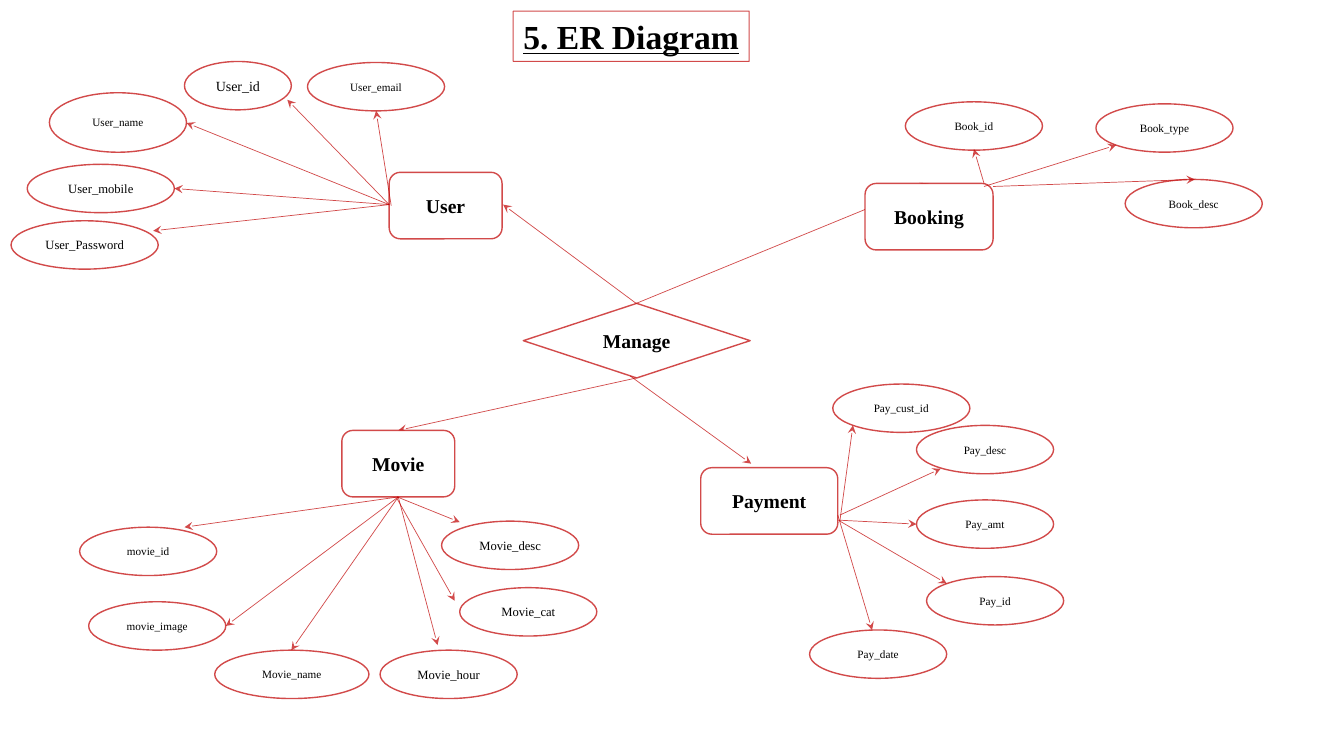
from dataclasses import dataclass
from pptx import Presentation
from pptx.dml.color import RGBColor
from pptx.enum.shapes import MSO_CONNECTOR, MSO_SHAPE
from pptx.enum.text import MSO_ANCHOR, MSO_AUTO_SIZE, PP_ALIGN
from pptx.oxml.ns import qn
from pptx.oxml.xmlchemy import OxmlElement
from pptx.util import Inches, Pt


@dataclass(frozen=True)
class Theme:
    red: RGBColor = RGBColor(0xC0, 0, 0)
    ink: RGBColor = RGBColor(0, 0, 0)
    paper: RGBColor = RGBColor(255, 255, 255)
    alpha: int = 71000
    face: str = "Times New Roman"
    title: int = 24
    head: int = 14
    large: int = 10
    mid: int = 9
    small: int = 8
    rim: float = 1
    frame: float = 0.75
    thin: float = 0.5


THEME = Theme()
WIDE, TALL = 1.36, 0.48

USER = [
    ("User_id", (-2.03, -1.1, 1.06, TALL), THEME.large, (0, 0.32), (-1.01, -0.72)),
    ("User_name", (-3.37, -0.79, WIDE, 0.59), THEME.small, (0, 0.32), (-2.01, -0.49)),
    ("User_mobile", (-3.59, -0.08, 1.46, TALL), THEME.mid, (0, 0.32), (-2.13, 0.16)),
    ("User_email", (-0.81, -1.09, WIDE, TALL), THEME.small, (0.02, 0.33), (-0.13, -0.61)),
    ("User_Password", (-3.75, 0.48, 1.46, TALL), THEME.mid, (0, 0.32), (-2.34, 0.58)),
]
MOVIE = [
    ("movie_id", (-2.6, 0.96, WIDE, TALL), THEME.small, (0.56, 0.66), (-1.56, 0.96)),
    ("movie_image", (-2.51, 1.7, WIDE, TALL), THEME.small, (0.56, 0.66), (-1.15, 1.94)),
    ("Movie_name", (-1.26, 2.18, 1.53, TALL), THEME.small, (0.56, 0.66), (-0.5, 2.18)),
    ("Movie_hour", (0.38, 2.18, WIDE, TALL), THEME.mid, (0.56, 0.66), (0.95, 2.13)),
    ("Movie_cat", (1.17, 1.56, WIDE, TALL), THEME.mid, (0.55, 0.68), (1.12, 1.69)),
    ("Movie_desc", (0.99, 0.9, WIDE, TALL), THEME.mid, (0.55, 0.66), (1.17, 0.91)),
]
BOOKING = [
    ("Book_id", (0.4, -0.81, WIDE, TALL), THEME.small, (1.18, 0), (1.08, -0.34)),
    ("Book_type", (2.29, -0.79, WIDE, TALL), THEME.small, (1.18, 0.03), (2.49, -0.38)),
    ("Book_desc", (2.58, -0.04, WIDE, TALL), THEME.small, (1.27, 0.03), (3.27, -0.04)),
]
PAYMENT = [
    ("Pay_cust_id", (1.31, -0.83, WIDE, TALL), THEME.small, (1.38, 0.53), (1.51, -0.42)),
    ("Pay_desc", (2.14, -0.42, WIDE, TALL), THEME.small, (1.38, 0.47), (2.38, 0.01)),
    ("Pay_amt", (2.14, 0.32, WIDE, TALL), THEME.small, (1.36, 0.52), (2.14, 0.56)),
    ("Pay_id", (2.24, 1.08, WIDE, TALL), THEME.small, (1.38, 0.53), (2.44, 1.15)),
    ("Pay_date", (1.08, 1.61, WIDE, TALL), THEME.small, (1.36, 0.47), (1.7, 1.61)),
]
ENTITIES = [
    ("User", (3.86, 1.71, 1.12, 0.66), USER),
    ("Movie", (3.39, 4.27, 1.12, 0.66), MOVIE),
    ("Booking", (8.58, 1.82, 1.27, 0.66), BOOKING),
    ("Payment", (6.95, 4.64, 1.36, 0.66), PAYMENT),
]
LINKS = [
    ((1.12, 0), (-0.2, -0.98)),
    ((1.12, 0.74), (-1.24, 1.26)),
    ((1.12, 0), (4.02, -1.19)),
    ((1.06, 0.72), (2.26, 1.59)),
]


def apply(item, form):
    for key, value in form.items():
        setattr(item, key, value)


def stroke(shape, width):
    shape.line.width = Pt(width)
    shape.line.color.rgb = THEME.red
    line = shape._element.spPr.find(qn("a:ln"))
    alpha = OxmlElement("a:alpha")
    alpha.set("val", str(THEME.alpha))
    line.find(qn("a:solidFill"))[0].append(alpha)
    return line


def write(shape, text, size, align, anchor, **extra):
    frame = shape.text_frame
    frame.text = text
    apply(frame, {"word_wrap": False, "auto_size": MSO_AUTO_SIZE.NONE,
                  "vertical_anchor": anchor})
    para = frame.paragraphs[0]
    para.alignment = align
    font = para.runs[0].font
    apply(font, {"name": THEME.face, "size": Pt(size), **extra})
    font.color.rgb = THEME.ink


def node(slide, kind, box, text, size, bold=False):
    shape = slide.shapes.add_shape(kind, *map(Inches, box))
    shape.shadow.inherit = False
    shape.fill.solid()
    shape.fill.fore_color.rgb = THEME.paper
    stroke(shape, THEME.rim)
    write(shape, text, size, PP_ALIGN.CENTER, MSO_ANCHOR.MIDDLE, bold=bold)


def shift(box, point):
    return box[0] + point[0], box[1] + point[1]


def arrow(slide, box, start, tip):
    ends = shift(box, start) + shift(box, tip)
    link = slide.shapes.add_connector(MSO_CONNECTOR.STRAIGHT, *map(Inches, ends))
    line = stroke(link, THEME.thin)
    tail = OxmlElement("a:tailEnd")
    tail.set("type", "stealth")
    line.append(tail)
    link._element.spPr.append(OxmlElement("a:effectLst"))


def heading(slide, box):
    title = slide.shapes.title
    apply(title, dict(zip(("left", "top", "width", "height"), map(Inches, box))))
    stroke(title, THEME.frame)
    write(title, "5. ER Diagram", THEME.title, PP_ALIGN.LEFT, MSO_ANCHOR.TOP,
          bold=True, underline=True)


def hub(slide, box):
    node(slide, MSO_SHAPE.FLOWCHART_DECISION, box, "Manage", THEME.head, True)
    for start, tip in LINKS:
        arrow(slide, box, start, tip)


def entity(slide, box, name, fields):
    node(slide, MSO_SHAPE.ROUNDED_RECTANGLE, box, name, THEME.head, True)
    for text, place, size, start, tip in fields:
        oval = shift(box, place) + place[2:]
        node(slide, MSO_SHAPE.OVAL, oval, text, size)
        arrow(slide, box, start, tip)


def main():
    deck = Presentation()
    apply(deck, {"slide_width": Inches(13.33), "slide_height": Inches(7.5)})
    slide = deck.slides.add_slide(deck.slide_layouts[5])
    heading(slide, (5.09, 0.11, 2.34, 0.5))
    hub(slide, (5.19, 3.01, 2.25, 0.74))
    for name, box, fields in ENTITIES:
        entity(slide, box, name, fields)
    deck.save("out.pptx")


if __name__ == "__main__":
    main()
